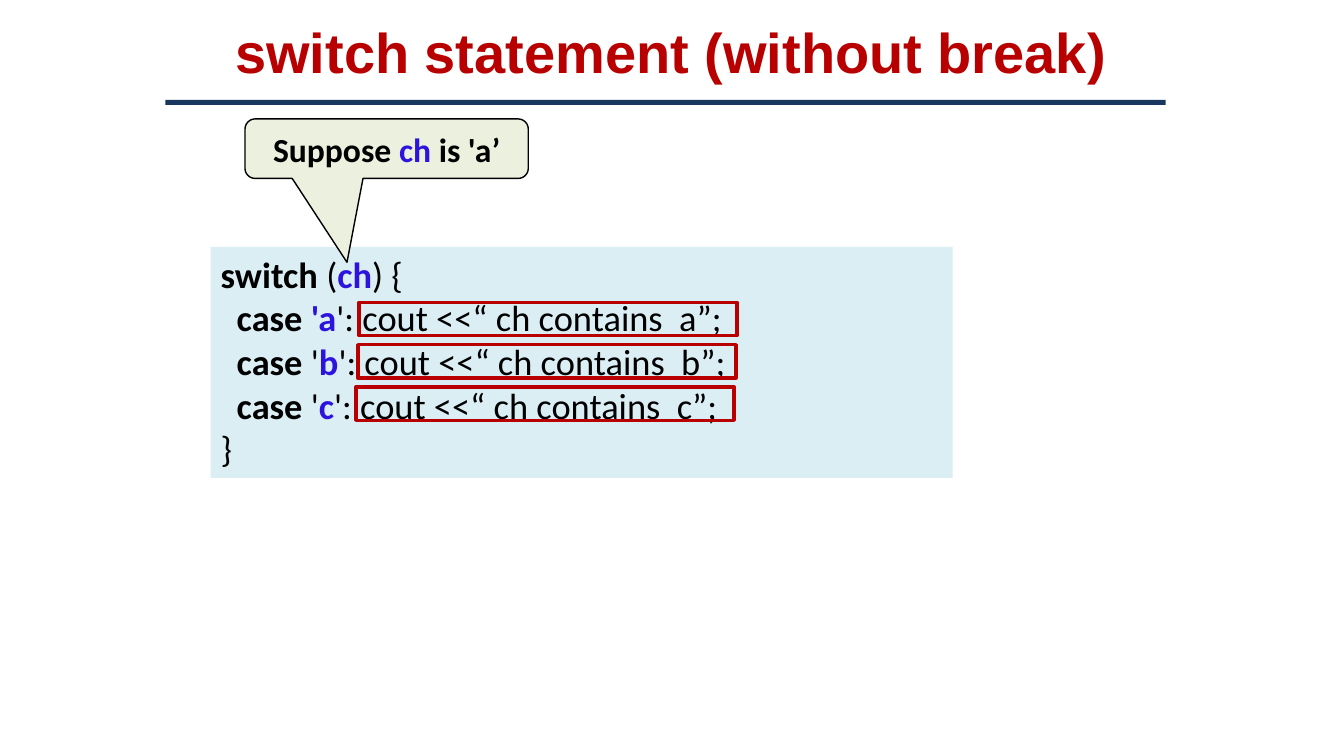
from pptx import Presentation
from pptx.dml.color import RGBColor
from pptx.enum.shapes import MSO_SHAPE
from pptx.enum.text import MSO_ANCHOR, PP_ALIGN
from pptx.util import Inches, Pt

RED, BLUE, BLACK, NAVY = "B80000", "2C14DE", "000000", "17375E"
PALE, CREAM = "DBEEF4", "EBF1DE"
PLAIN, BOLD, KEY = (BLACK, False), (BLACK, True), (BLUE, True)

TITLE = [[("switch statement (without break)", (RED, True))]]
HINT = [[("Suppose ", BOLD), ("ch", KEY), (" is 'a’", BOLD)]]
CASES = [
    [("case ", BOLD), ("'a", KEY), ("': cout <<“ ch contains  a”;", PLAIN)],
    [("case", BOLD), (" '", PLAIN), ("b", KEY), ("': cout <<“ ch contains  b”;", PLAIN)],
    [("case", BOLD), (" '", PLAIN), ("c", KEY), ("': cout <<“ ch contains  c”;", PLAIN)],
]
HEAD = [("switch", BOLD), (" (", PLAIN), ("ch", KEY), (") {", PLAIN)]
CODE = [HEAD, *CASES, [("}", PLAIN)]]
LEFTS = [3.56, 3.55, 3.53]
TOP, STEP = 3, 0.42
INDENT = 0.16

deck = Presentation()
deck.slide_width, deck.slide_height = Inches(13.33), Inches(7.5)
slide = deck.slides.add_slide(deck.slide_layouts[6])


def color(code):
    return RGBColor.from_string(code)


def add_box(kind, place, fill=None, line=None, width=1):
    box = slide.shapes.add_shape(kind, *map(Inches, place))
    box.shadow.inherit = False
    if fill:
        box.fill.solid()
        box.fill.fore_color.rgb = color(fill)
    else:
        box.fill.background()
    if line:
        box.line.color.rgb = color(line)
        box.line.width = Pt(width)
    else:
        box.line.fill.background()
    return box


def write(box, lines, size, font, align, anchor):
    frame = box.text_frame
    frame.word_wrap = True
    frame.vertical_anchor = anchor
    frame.text = "\n".join("".join(text for text, _ in line) for line in lines)
    for para, line in zip(frame.paragraphs, lines):
        para.clear()
        para.alignment = align
        if line in CASES:
            para._p.get_or_add_pPr().set("marL", str(Inches(INDENT)))
        for text, (tint, bold) in line:
            run = para.add_run()
            run.text = text
            run.font.size, run.font.name, run.font.bold = Pt(size), font, bold
            run.font.color.rgb = color(tint)


title = slide.shapes.add_textbox(*map(Inches, (1.64, 0.02, 10.02, 0.97)))
write(title, TITLE, 40, "Arial", PP_ALIGN.CENTER, MSO_ANCHOR.MIDDLE)

panel = add_box(MSO_SHAPE.RECTANGLE, (2.09, 2.45, 7.36, 2.29), PALE)
write(panel, CODE, 26, "Calibri", PP_ALIGN.LEFT, MSO_ANCHOR.TOP)

hint = add_box(MSO_SHAPE.ROUNDED_RECTANGULAR_CALLOUT, (2.43, 1.18, 2.81, 0.59), CREAM, BLACK)
for spot, value in enumerate((-0.14, 1.91, 0.17)):
    hint.adjustments[spot] = value
write(hint, HINT, 24, "Calibri", PP_ALIGN.CENTER, MSO_ANCHOR.MIDDLE)

for row, left in enumerate(LEFTS):
    add_box(MSO_SHAPE.RECTANGLE, (left, TOP + row * STEP, 3.75, 0.33), None, RED, 2.5)

add_box(MSO_SHAPE.RECTANGLE, (1.64, 0.99, 9.92, 0.05), NAVY)

deck.save("out.pptx")
